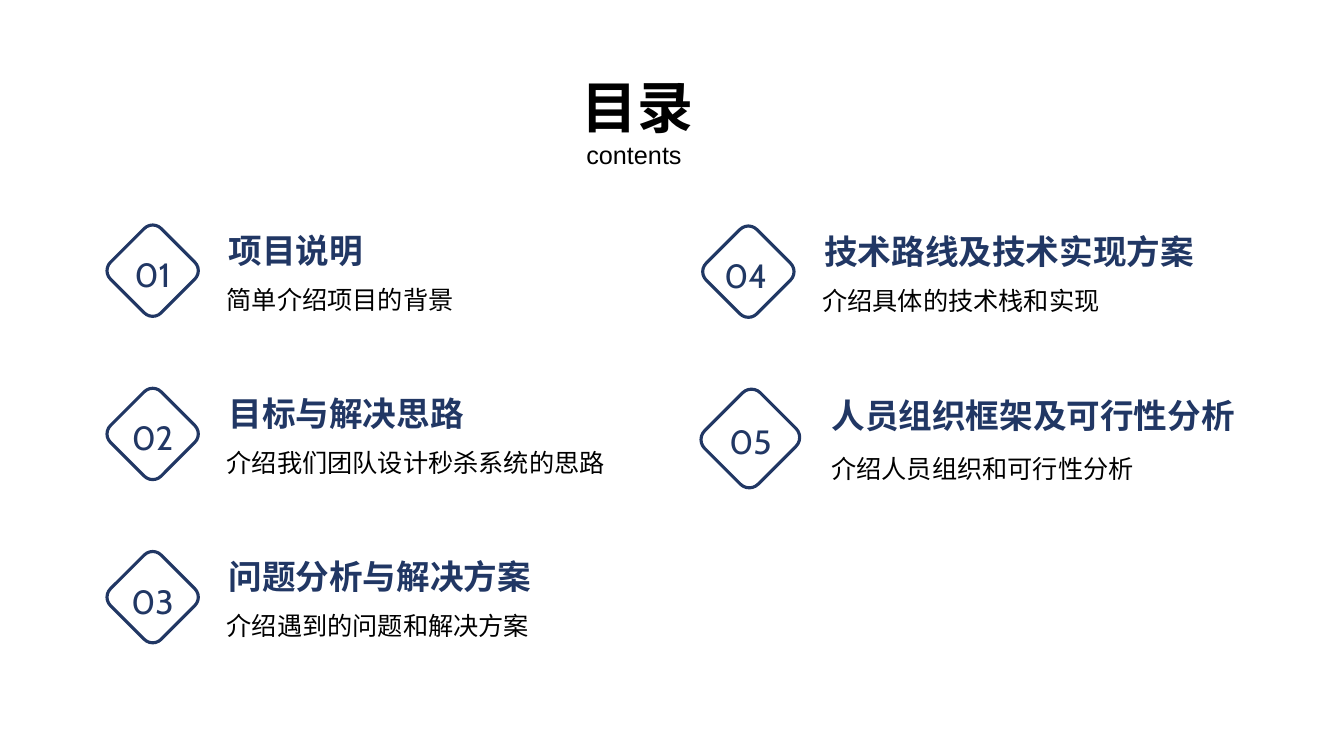
"""Build a contents slide with five numbered agenda entries."""
from dataclasses import dataclass

from pptx import Presentation
from pptx.dml.color import RGBColor
from pptx.enum.shapes import MSO_SHAPE
from pptx.enum.text import MSO_AUTO_SIZE, PP_ALIGN
from pptx.slide import Slide
from pptx.util import Pt

NAVY = "213764"
BLACK = "000000"
LEFT_COLUMN, RIGHT_COLUMN = 83.5, 509
FIRST_ROW, ROW_PITCH = 167.8, 116.6
RIGHT_DROP = 0.7


@dataclass
class Entry:
    """One agenda entry, with offsets measured from its diamond."""
    number: str
    title: str
    detail: str
    column: float
    row: int
    drop: float = 0
    color: str = NAVY
    width: float = 51.1
    height: float = 51.1
    number_center: float = 25.5
    number_dy: float = 10.1
    title_dx: float = 72.7
    title_dy: float = -7.2
    title_width: float = 256
    detail_dx: float = 71.3
    detail_dy: float = 31.7
    detail_width: float = 290


ENTRIES = [
    Entry("01", "项目说明", "简单介绍项目的背景", LEFT_COLUMN, 0),
    Entry("02", "目标与解决思路", "介绍我们团队设计秒杀系统的思路", LEFT_COLUMN, 1),
    Entry("03", "问题分析与解决方案", "介绍遇到的问题和解决方案", LEFT_COLUMN, 2),
    Entry("04", "技术路线及技术实现方案", "介绍具体的技术栈和实现", RIGHT_COLUMN, 0,
          RIGHT_DROP, color="203864", number_center=23.8, title_width=285),
    Entry("05", "人员组织框架及可行性分析", "介绍人员组织和可行性分析", RIGHT_COLUMN, 1,
          RIGHT_DROP, width=54, height=56.2, number_center=27, number_dy=12.2,
          title_dx=77.8, title_dy=-6.5, title_width=331,
          detail_dx=77.8, detail_dy=35.3, detail_width=307),
]


def rgb(color: str) -> RGBColor:
    """Turn a hex string into a colour."""
    return RGBColor.from_string(color)


def add_text(s: Slide, text: str, left: float, top: float, width: float, height: float,
             size: float, font: str, color: str, bold: bool = False,
             align: PP_ALIGN = PP_ALIGN.LEFT) -> None:
    """Add a wrapped single-paragraph text box."""
    tf = s.shapes.add_textbox(Pt(left), Pt(top), Pt(width), Pt(height)).text_frame
    tf.word_wrap = True
    tf.auto_size = MSO_AUTO_SIZE.SHAPE_TO_FIT_TEXT
    tf.text = text
    p = tf.paragraphs[0]
    p.alignment = align
    r = p.runs[0]
    r.font.size = Pt(size)
    r.font.name = font
    r.font.bold = bold
    r.font.color.rgb = rgb(color)


def add_entry(s: Slide, entry: Entry) -> None:
    """Draw the diamond, number, title and detail of an entry."""
    left = entry.column
    top = FIRST_ROW + entry.row * ROW_PITCH + entry.drop
    sp = s.shapes.add_shape(MSO_SHAPE.ROUNDED_RECTANGLE, Pt(left), Pt(top),
                            Pt(entry.width), Pt(entry.height))
    sp.rotation = 45
    sp.shadow.inherit = False
    sp.fill.background()
    sp.line.color.rgb = rgb(entry.color)
    sp.line.width = Pt(2.25)
    number_width = 64
    add_text(s, entry.number, left + entry.number_center - number_width / 2,
             top + entry.number_dy, number_width, 36, 24, "Cabin", entry.color,
             align=PP_ALIGN.CENTER)
    add_text(s, entry.title, left + entry.title_dx, top + entry.title_dy,
             entry.title_width, 36, 24, "Lato", NAVY, bold=True)
    add_text(s, entry.detail, left + entry.detail_dx, top + entry.detail_dy,
             entry.detail_width, 29, 18, "Lato", BLACK)


def main() -> None:
    """Create and save the slide."""
    prs = Presentation()
    prs.slide_width, prs.slide_height = Pt(960), Pt(540)
    s = prs.slides.add_slide(prs.slide_layouts[6])
    add_text(s, "目录", 408.2, 48.2, 143.3, 55.4, 40, "Lato", BLACK, bold=True,
             align=PP_ALIGN.JUSTIFY)
    add_text(s, "contents", 411.8, 95.8, 136.8, 30, 18, "Arial", BLACK,
             align=PP_ALIGN.JUSTIFY)
    for entry in ENTRIES:
        add_entry(s, entry)
    prs.save("out.pptx")


if __name__ == "__main__":
    main()
